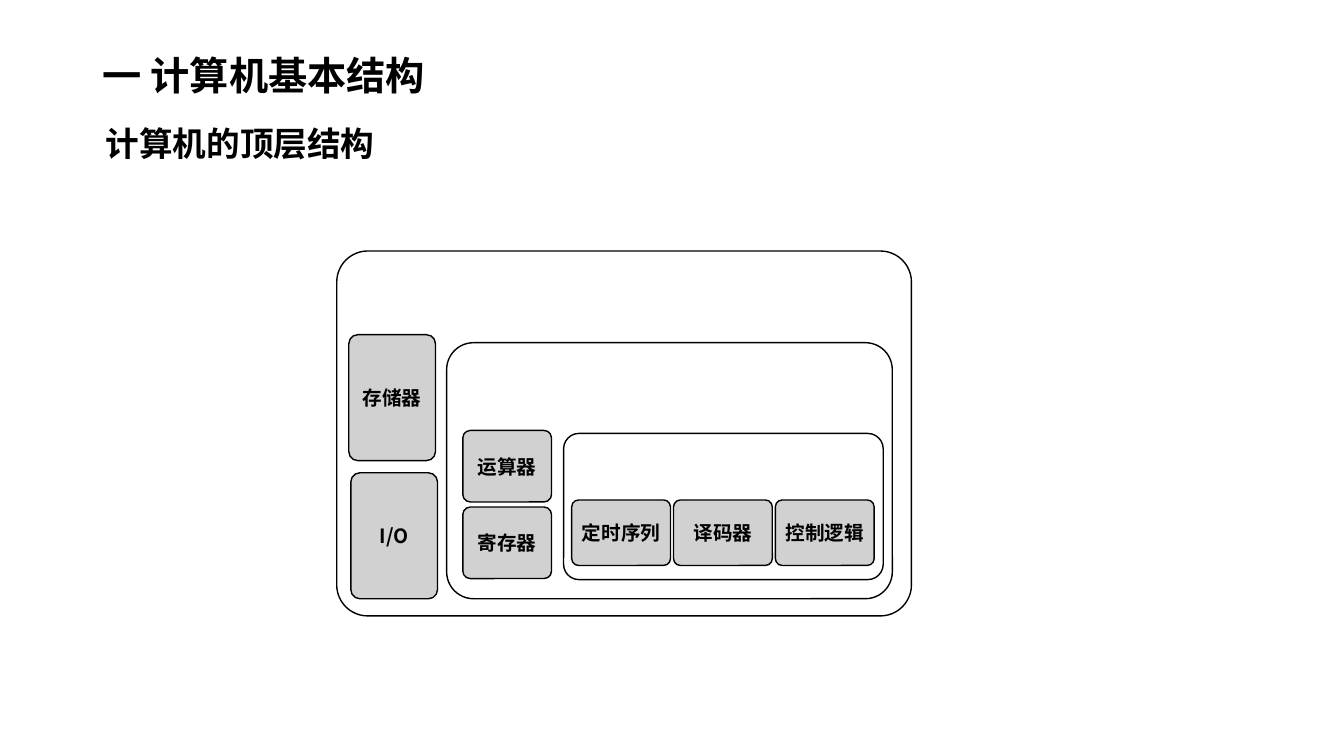
from dataclasses import dataclass

from lxml.etree import SubElement
from pptx import Presentation
from pptx.dml.color import RGBColor
from pptx.enum.shapes import MSO_SHAPE
from pptx.enum.text import MSO_ANCHOR, PP_ALIGN
from pptx.oxml.ns import qn
from pptx.shapes.autoshape import Shape
from pptx.slide import Slide
from pptx.util import Emu, Pt

PX = 9144  # 100 px to the inch
FONT = "Noto Sans CJK SC"
COLORS = {"ink": "000000", "frame": "FFFFFF", "unit": "CCCCCC"}
UNIT_OPACITY = 90
UNIT_INSET = 6


@dataclass
class Heading:
    text: str
    left: int
    top: int
    width: int
    height: int
    size: int
    anchor: MSO_ANCHOR
    line_spacing: float = 1.0
    space_after: int = 0


@dataclass
class Block:
    """A rounded box: a white frame if it has no label, else a grey unit."""
    left: int
    top: int
    width: int
    height: int
    label: str = ""
    corner: float = 0.105


def px(length: int) -> Emu:
    return Emu(length * PX)


def color(name: str) -> RGBColor:
    return RGBColor.from_string(COLORS[name])


def write(box: Shape, text: str, size: int, anchor: MSO_ANCHOR):
    """Put one bold paragraph in the box and return it."""
    box.text_frame.word_wrap = True
    box.text_frame.vertical_anchor = anchor
    para = box.text_frame.paragraphs[0]
    para.text = text
    para.font.name = FONT
    para.font.size = Pt(size)
    para.font.bold = True
    para.font.color.rgb = color("ink")
    # East Asian typeface
    defaults = next(para._p.iter(qn("a:defRPr")))
    SubElement(defaults, qn("a:ea"), typeface=FONT)
    return para


def add_heading(page: Slide, heading: Heading) -> None:
    box = page.shapes.add_textbox(px(heading.left), px(heading.top),
                                  px(heading.width), px(heading.height))
    para = write(box, heading.text, heading.size, heading.anchor)
    para.line_spacing = heading.line_spacing
    para.space_after = Pt(heading.space_after)


def add_block(page: Slide, block: Block) -> None:
    box = page.shapes.add_shape(MSO_SHAPE.ROUNDED_RECTANGLE,
                                px(block.left), px(block.top),
                                px(block.width), px(block.height))
    box.adjustments[0] = block.corner
    box.shadow.inherit = False
    box.line.color.rgb = color("ink")
    box.line.width = Pt(1)
    box.fill.solid()
    box.fill.fore_color.rgb = color("unit" if block.label else "frame")
    if not block.label:
        return
    fill_color = next(box._element.spPr.iter(qn("a:srgbClr")))
    SubElement(fill_color, qn("a:alpha"), val=str(UNIT_OPACITY * 1000))
    frame = box.text_frame
    frame.margin_left = frame.margin_right = px(UNIT_INSET)
    frame.margin_top = frame.margin_bottom = px(UNIT_INSET)
    para = write(box, block.label, 14, MSO_ANCHOR.MIDDLE)
    para.alignment = PP_ALIGN.CENTER


HEADINGS = [
    Heading("一 计算机基本结构", 92, 40, 1124, 74, 28, MSO_ANCHOR.MIDDLE,
            line_spacing=0.9),
    Heading("计算机的顶层结构", 95, 117, 916, 50, 24, MSO_ANCHOR.TOP,
            space_after=12),
]

BLOCKS = [
    # Computer
    Block(334, 249, 570, 362, corner=0.085),
    Block(346, 332, 86, 125, "存储器"),
    Block(348, 469, 86, 125, "I/O"),
    # Processor
    Block(443, 340, 442, 254),
    *(Block(459, 427 + 76 * row, 88, 71, label)
      for row, label in enumerate(["运算器", "寄存器"])),
    # Control unit
    Block(559, 430, 317, 145),
    *(Block(567 + 101 * column, 496, 98, 65, label)
      for column, label in enumerate(["定时序列", "译码器", "控制逻辑"])),
]


def main() -> None:
    deck = Presentation()
    deck.slide_width, deck.slide_height = px(1333), px(750)
    page = deck.slides.add_slide(deck.slide_layouts[6])
    for heading in HEADINGS:
        add_heading(page, heading)
    for block in BLOCKS:
        add_block(page, block)
    deck.save("out.pptx")


if __name__ == "__main__":
    main()
